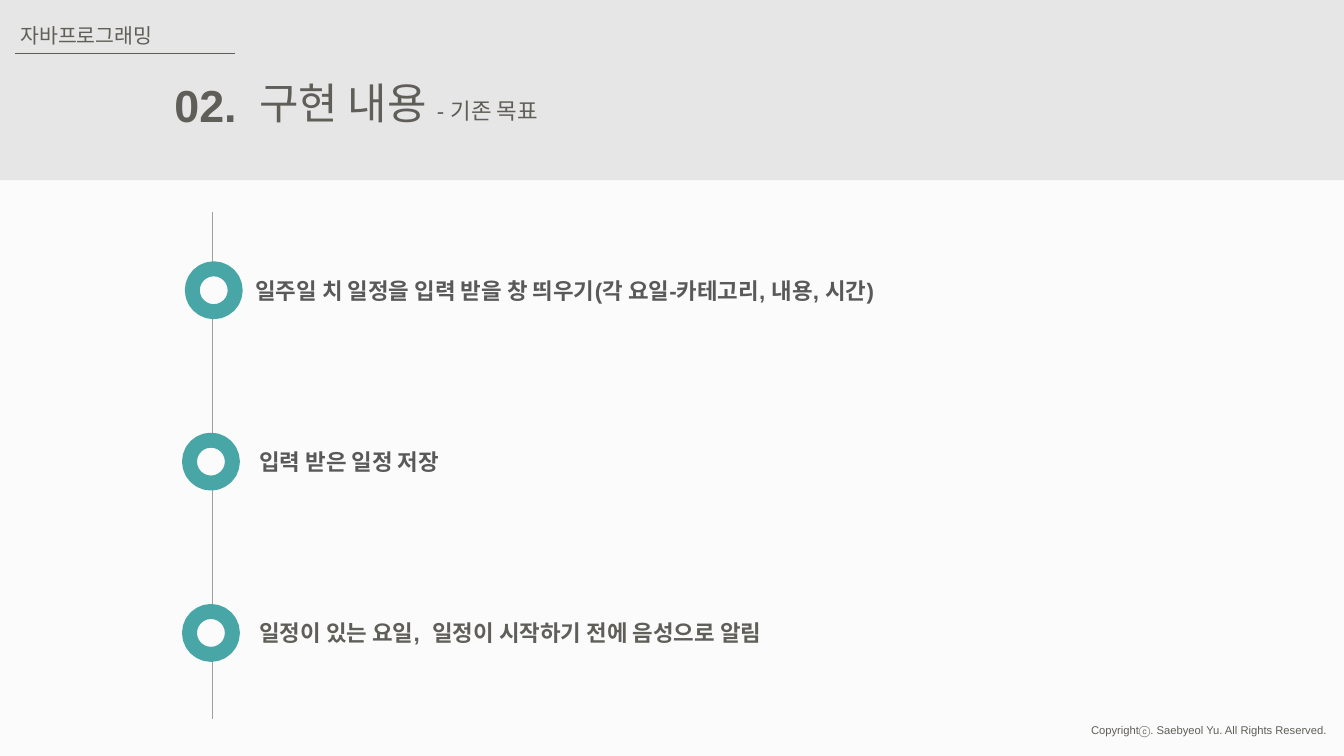
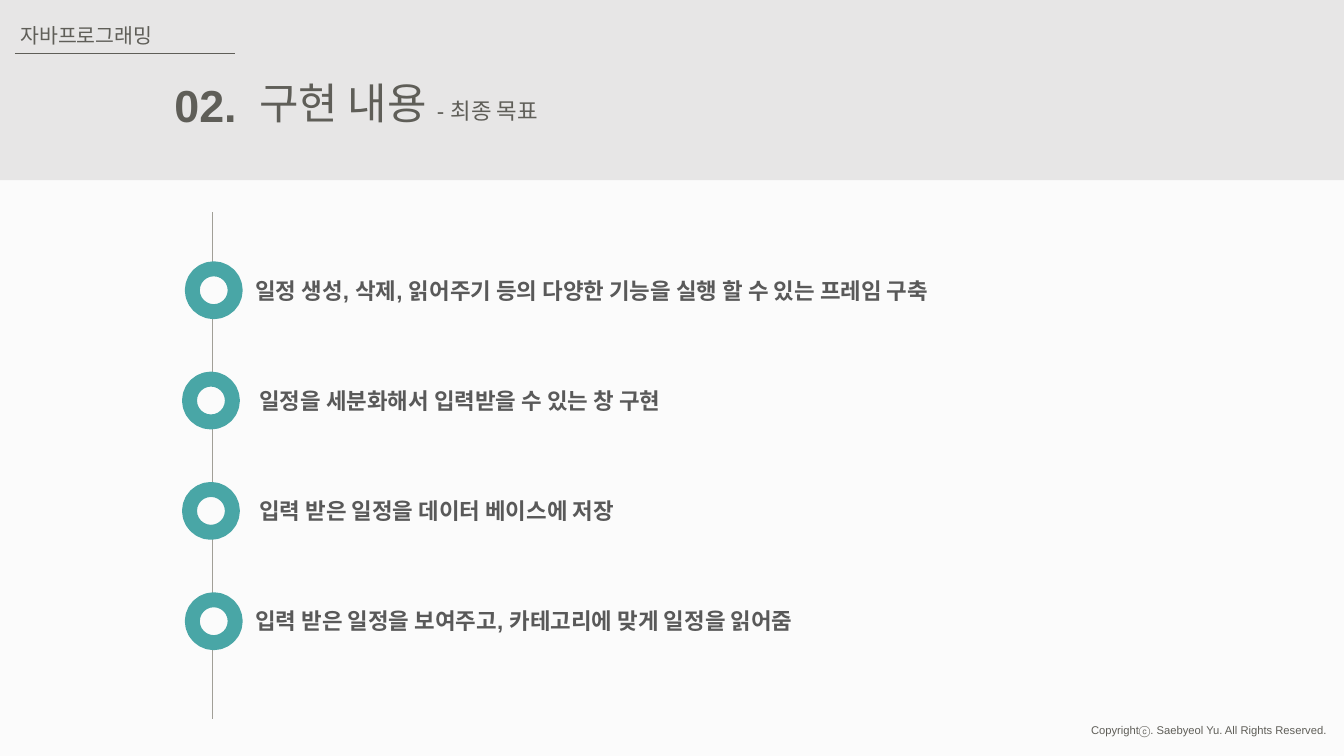
from lxml import etree
from pptx import Presentation
from pptx.dml.color import RGBColor
from pptx.enum.shapes import MSO_CONNECTOR, MSO_SHAPE
from pptx.enum.text import MSO_ANCHOR, MSO_AUTO_SIZE, PP_ALIGN
from pptx.oxml.ns import qn
from pptx.util import Pt

STRAIGHT = MSO_CONNECTOR.STRAIGHT
RECTANGLE, OVAL = MSO_SHAPE.RECTANGLE, MSO_SHAPE.OVAL
TOP, GROW = MSO_ANCHOR.TOP, MSO_AUTO_SIZE.SHAPE_TO_FIT_TEXT
LEFT, RIGHT = PP_ALIGN.LEFT, PP_ALIGN.RIGHT

FONT = "Arial"
PAPER, BAND, INK = "FBFBFB", "E7E6E6", "5F5E58"
GOAL_INK, AXIS, TEAL = "595959", "A19F97", "49A6A6"

HEADER_BOX = (0, 0, 720, 96.6)
TIMELINE_BOX = (101.5, 113.7, 500, 271.5)
FOOTER_BOX = (573.8, 384.5, 141.8, 13)
RING_SIZE, RING_LINE = 23, 8

# Each goal: wording, whether its ring sits right of the axis, text colour.
SLIDES = [
    ("기존 목표", 91.8, [
        ("일주일 치 일정을 입력 받을 창 띄우기(각 요일-카테고리, 내용, 시간)", True, GOAL_INK),
        ("입력 받은 일정 저장", False, GOAL_INK),
        ("일정이 있는 요일,  일정이 시작하기 전에 음성으로 알림", False, INK),
    ]),
    ("최종 목표", 59.1, [
        ("일정 생성, 삭제, 읽어주기 등의 다양한 기능을 실행 할 수 있는 프레임 구축", True, GOAL_INK),
        ("일정을 세분화해서 입력받을 수 있는 창 구현", False, GOAL_INK),
        ("입력 받은 일정을 데이터 베이스에 저장", False, GOAL_INK),
        ("입력 받은 일정을 보여주고, 카테고리에 맞게 일정을 읽어줌", True, GOAL_INK),
    ]),
]


def colour(value):
    """Turn a hex string into a colour."""
    return RGBColor.from_string(value)


def style_span(span, size, ink=INK, bold=False):
    """Format one run of text."""
    span.font.name = FONT
    span.font.size = Pt(size)
    span.font.bold = bold
    span.font.color.rgb = colour(ink)


def style_frame(frame, align=LEFT):
    """Apply the shared insets, wrapping and alignment."""
    frame.margin_left = frame.margin_right = Pt(5)
    frame.margin_top = frame.margin_bottom = Pt(2.8)
    frame.word_wrap = True
    frame.auto_size = GROW
    frame.vertical_anchor = TOP
    frame.paragraphs[0].alignment = align


def add_text(page, box, text, size, ink=INK, bold=False, align=LEFT):
    """Add a one-line text box."""
    label = page.shapes.add_textbox(*map(Pt, box))
    label.text_frame.text = text
    style_frame(label.text_frame, align)
    style_span(label.text_frame.paragraphs[0].runs[0], size, ink, bold)
    return label


def add_shape(page, kind, box, fill):
    """Add a flat filled shape without an outline."""
    shape = page.shapes.add_shape(kind, *map(Pt, box))
    shape.shadow.inherit = False
    shape.fill.solid()
    shape.fill.fore_color.rgb = colour(fill)
    shape.line.fill.background()
    return shape


def add_line(page, start, end, ink):
    """Add a thin straight line."""
    line = page.shapes.add_connector(STRAIGHT, *map(Pt, start + end))
    line.line.color.rgb = colour(ink)
    line.line.width = Pt(0.75)
    etree.SubElement(line.element.spPr, qn("a:effectLst"))


def draw_header(page, box, subtitle):
    """Draw the band, course name, section number and title."""
    left, top, width, height = box
    add_shape(page, RECTANGLE, box, BAND)
    add_line(page, (left + 8, top + 28.7), (left + 126, top + 28.7), INK)
    add_text(page, (left + 5.8, top + 9.4, 126, 18.7), "자바프로그래밍", 11)
    add_text(page, (left + 78.5, top + 38.9, 53.3, 34.6), "02.", 24, bold=True, align=RIGHT)

    title = page.shapes.title
    page.shapes.element.append(title.element)
    title.left, title.top = Pt(left + 133.9), Pt(top + 38.2)
    title.width, title.height = Pt(240), Pt(33.1)
    para = title.text_frame.paragraphs[0]
    for text, size in (("구현 내용 ", 23), (f"- {subtitle}", 12)):
        span = para.add_run()
        span.text = text
        style_span(span, size)
    style_frame(title.text_frame)


def draw_timeline(page, box, pitch, goals):
    """Draw the vertical axis with evenly spaced rings and goals."""
    left, top, width, height = box
    axis = left + 12.3
    add_line(page, (axis, top), (axis, top + height), AXIS)
    for index, (goal, shifted, ink) in enumerate(goals):
        ring_top = top + 30.3 + index * pitch
        ring_left = left + (1.5 if shifted else 0)
        text_left = left + (30.3 if shifted else 32.4)
        ring = add_shape(page, OVAL, (ring_left, ring_top, RING_SIZE, RING_SIZE), PAPER)
        ring.line.color.rgb = colour(TEAL)
        ring.line.width = Pt(RING_LINE)
        add_text(page, (text_left, ring_top + 1.4, width - 35, 20.2), goal, 12, ink, True)


def move_footer_to_layout(page, box):
    """Write the copyright line once, on the layout all slides share."""
    footer = add_text(page, box, "Copyrightⓒ. Saebyeol Yu. All Rights Reserved.", 6, align=RIGHT)
    page.slide_layout.shapes.element.append(footer.element)


def main():
    """Build and save the deck."""
    deck = Presentation()
    deck.slide_width, deck.slide_height = Pt(720), Pt(405)
    background = deck.slide_master.background.fill
    background.solid()
    background.fore_color.rgb = colour(PAPER)
    layout = deck.slide_layouts.get_by_name("Title Only")
    for subtitle, pitch, goals in SLIDES:
        page = deck.slides.add_slide(layout)
        draw_header(page, HEADER_BOX, subtitle)
        draw_timeline(page, TIMELINE_BOX, pitch, goals)
    move_footer_to_layout(deck.slides[0], FOOTER_BOX)
    deck.save("out.pptx")


if __name__ == "__main__":
    main()
